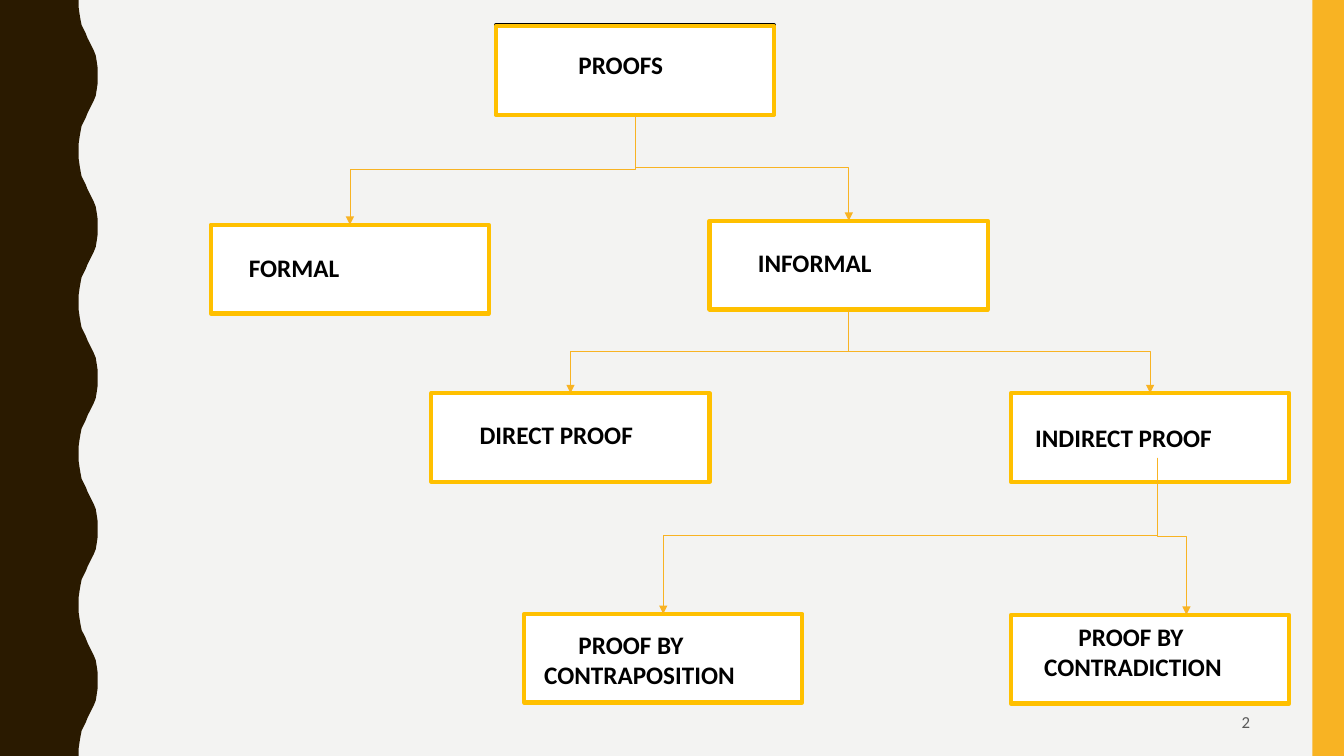
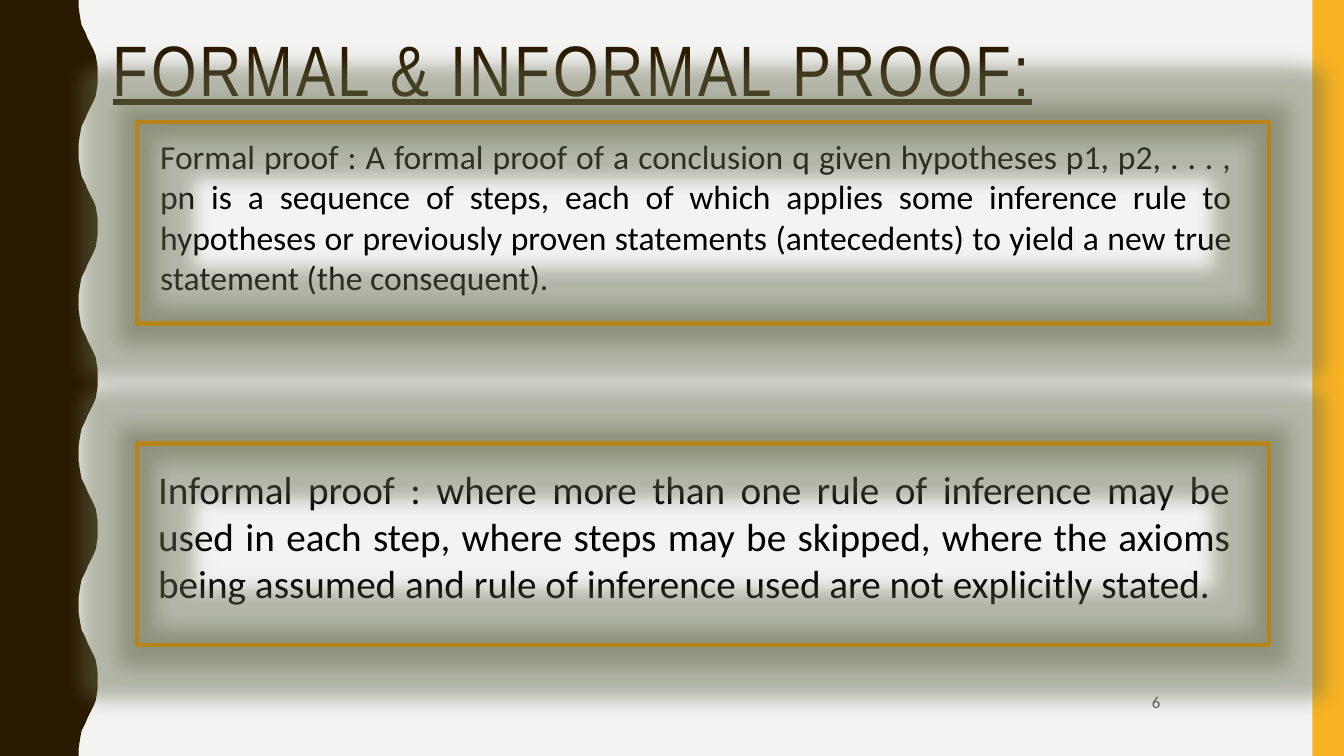
import dataclasses
import typing

import pptx
import pptx.dml.color
import pptx.enum.shapes
import pptx.enum.text
import pptx.oxml
import pptx.oxml.ns
import pptx.util

HUES = {
    "paper": "F3F3F2", "wave": "2A1A00", "band": "F8B323", "white": "FFFFFF",
    "black": "000000", "edge": "FFC000", "frame": "B7841A", "note": "595959",
    "glow": "676E50",
}
WIDE, HIGH = pptx.util.Inches(13.333), pptx.util.Inches(7.5)
FACE, HEAD = "Calibri", "Arial Narrow"
NODE_W, NODE_H = 20.7, 11.73
ALIGN = pptx.enum.text.PP_ALIGN
KIND = pptx.enum.shapes.MSO_SHAPE


@dataclasses.dataclass(frozen=True)
class Area:
    """A place on the slide, in percent of its width and height."""
    left: float
    top: float
    width: float
    height: float

    def box(self) -> tuple[int, int, int, int]:
        return (across(self.left), down(self.top),
                across(self.width), down(self.height))


@dataclasses.dataclass(frozen=True)
class Node:
    text: str
    left: float
    top: float
    label: Area
    indent: float = 0


@dataclasses.dataclass(frozen=True)
class Link:
    """An arrow between nodes; out and aim shift its two ends."""
    start: int
    end: int
    out: tuple[float, float] = (0, 0)
    aim: float = 0


@dataclasses.dataclass(frozen=True)
class Panel:
    text: str
    size: int
    body: Area
    frame: Area


NODES = [
    Node("PROOFS", 36.9, 3.47, Area(42.3, 5.87, 12, 5.33)),
    Node("FORMAL", 15.68, 29.73, Area(17.78, 32.67, 16.95, 5.33)),
    Node("INFORMAL", 52.8, 29.2, Area(55.65, 32, 16.95, 5.33)),
    Node("DIRECT PROOF", 32.1, 52, Area(34.95, 54.8, 16.95, 5.33)),
    Node("INDIRECT PROOF", 75.22, 52, Area(76.28, 55.2, 19.65, 5.33)),
    Node("PROOF BY CONTRAPOSITION", 39, 81.2,
         Area(39.75, 82.53, 24.38, 9.47), 2.55),
    Node("PROOF BY CONTRADICTION", 75.22, 81.33,
         Area(76.95, 81.47, 22.65, 9.47), 2.55),
]
LINKS = [
    Link(0, 1), Link(0, 2), Link(2, 3), Link(2, 4),
    Link(4, 5, (0.53, -3.2)), Link(4, 6, (0.53, -3.2), 2.71),
]
PANELS = [
    Panel("Formal proof : A formal proof of a conclusion q given hypotheses "
          "p1, p2, . . . , pn is a sequence of steps, each of which applies "
          "some inference rule to hypotheses or previously proven statements "
          "(antecedents) to yield a new true statement (the consequent).",
          24, Area(11.17, 17.33, 81.23, 22.93),
          Area(10.2, 16.13, 84.23, 26.67)),
    Panel("Informal proof : where more than one rule of inference may be used "
          "in each step, where steps may be skipped, where the axioms being "
          "assumed and rule of inference used are not explicitly stated.",
          28, Area(11.03, 60.93, 81.23, 20.13),
          Area(10.2, 58.67, 84.23, 26.67)),
]


def across(share: float) -> int:
    return round(WIDE * share / 100)


def down(share: float) -> int:
    return round(HIGH * share / 100)


def hue(name: str) -> pptx.dml.color.RGBColor:
    return pptx.dml.color.RGBColor.from_string(HUES[name])


def parse_xml(tag: str, inner: str = "", **attrs: typing.Any) -> typing.Any:
    """Make one DrawingML element."""
    names = "".join(f' {key}="{value}"' for key, value in attrs.items())
    space = pptx.oxml.ns.nsdecls("a")
    return pptx.oxml.parse_xml(f"<a:{tag} {space}{names}>{inner}</a:{tag}>")


def paint(shape: typing.Any, fill: str | None, line: str | None = None) -> None:
    shape.shadow.inherit = False
    if fill:
        shape.fill.solid()
        shape.fill.fore_color.rgb = hue(fill)
    else:
        shape.fill.background()
    if line:
        shape.line.color.rgb = hue(line)
        shape.line.width = pptx.util.Pt(3)
    else:
        shape.line.fill.background()


def block(slide: typing.Any, area: Area, fill: str | None,
          line: str | None = None) -> typing.Any:
    shape = slide.shapes.add_shape(KIND.RECTANGLE, *area.box())
    paint(shape, fill, line)
    return shape


def write(slide: typing.Any, area: Area, text: str, size: float,
          tone: str = "black", face: str = FACE, bold: bool = False,
          align: typing.Any = ALIGN.LEFT) -> typing.Any:
    """Add wrapped text and return its paragraph."""
    frame = slide.shapes.add_textbox(*area.box()).text_frame
    frame.word_wrap = True
    para = frame.paragraphs[0]
    para.text = text
    para.alignment = align
    font = para.font
    font.name, font.size, font.bold = face, pptx.util.Pt(size), bold
    font.color.rgb = hue(tone)
    return para


def wave(slide: typing.Any) -> None:
    """Draw the left band, whose edge swings out and back five times."""
    swing = [(0.78, 0), (0.78, 0.07), (0.79, 0.14), (0.8, 0.2), (0.81, 0.25),
             (0.83, 0.29), (0.85, 0.33), (0.87, 0.38), (0.89, 0.42),
             (0.91, 0.46), (0.93, 0.5), (0.95, 0.55), (0.96, 0.61),
             (0.97, 0.68), (0.97, 0.75)]
    cycle = swing + [(x, 1.5 - y) for x, y in reversed(swing[:-1])]
    edge = [(x, y + 1.5 * turn) for turn in range(5) for x, y in cycle]
    path = slide.shapes.build_freeform(0, 0, scale=pptx.util.Inches(1) / 100)
    path.add_line_segments([(x * 100, y * 100) for x, y in edge] + [(0, 750)])
    paint(path.convert_to_shape(), "wave")


def page(deck: typing.Any, number: int, left: float, top: float) -> typing.Any:
    """Add a slide with both side bands and its number."""
    slide = deck.slides.add_slide(deck.slide_layouts[6])
    for holder in list(slide.placeholders):
        holder.element.getparent().remove(holder.element)
    wave(slide)
    block(slide, Area(97.65, 0, 2.35, 100), "band")
    para = write(slide, Area(left, top, 23.1, 5.07), str(number), 12,
                 "note", align=ALIGN.RIGHT)
    para._parent.vertical_anchor = pptx.enum.text.MSO_ANCHOR.MIDDLE
    return slide


def join(slide: typing.Any, link: Link) -> None:
    """Draw an elbow arrow that leaves downwards, by turning a level one."""
    start, end = NODES[link.start], NODES[link.end]
    x1 = across(start.left + NODE_W / 2 + link.out[0])
    y1 = down(start.top + NODE_H + link.out[1])
    x2, y2 = across(end.left + NODE_W / 2 + link.aim), down(end.top)
    midx, midy = (x1 + x2) // 2, (y1 + y2) // 2
    long, wide = (y2 - y1) // 2, abs(x2 - x1) // 2
    arrow = slide.shapes.add_connector(
        pptx.enum.shapes.MSO_CONNECTOR.ELBOW,
        midx - long, midy - wide, midx + long, midy + wide)
    arrow.line.color.rgb = hue("band")
    arrow.line.width = pptx.util.Pt(0.5)
    props = arrow.element.spPr
    turn = props.find(pptx.oxml.ns.qn("a:xfrm"))
    turn.set("rot", str((90 if x2 < x1 else 270) * 60000))
    if x2 > x1:
        turn.set("flipH", "1")
    props.find(pptx.oxml.ns.qn("a:ln")).append(
        parse_xml("tailEnd", type="triangle"))
    props.append(parse_xml("effectLst"))


def shine(shape: typing.Any) -> None:
    """Give a frame a wide glow and a narrow soft shadow."""
    tint = f'<a:srgbClr val="{HUES["glow"]}"><a:alpha val="40000"/></a:srgbClr>'
    effects = shape.element.spPr.find(pptx.oxml.ns.qn("a:effectLst"))
    effects.append(parse_xml("glow", tint, rad=pptx.util.Inches(0.35)))
    effects.append(parse_xml("outerShdw", tint, algn="ctr", rotWithShape=0,
                             blurRad=pptx.util.Inches(0.15)))


def tree(deck: typing.Any) -> None:
    slide = page(deck, 2, 70.65, 92.93)
    block(slide, Area(36.9, 3.33, NODE_W, NODE_H), "white", "black")
    for node in NODES:
        block(slide, Area(node.left, node.top, NODE_W, NODE_H), "white", "edge")
        para = write(slide, node.label, node.text, 18, bold=True)
        if node.indent:
            props = para._p.get_or_add_pPr()
            props.set("marL", "0")
            props.set("indent", str(across(node.indent)))
    for link in LINKS:
        join(slide, link)


def terms(deck: typing.Any) -> None:
    slide = page(deck, 6, 63.98, 90.27)
    title = write(slide, Area(7.65, 4, 83.48, 13.33),
                  "FORMAL & INFORMAL PROOF:", 51, "wave", HEAD)
    title.line_spacing = 0.9
    run = title.runs[0]
    run.font.underline = True
    run._r.get_or_add_rPr().set("spc", "200")
    for panel in PANELS:
        write(slide, panel.body, panel.text, panel.size, align=ALIGN.JUSTIFY)
        shine(block(slide, panel.frame, None, "frame"))


def main() -> None:
    deck = pptx.Presentation()
    deck.slide_width, deck.slide_height = WIDE, HIGH
    back = deck.slide_master.background.fill
    back.solid()
    back.fore_color.rgb = hue("paper")
    tree(deck)
    terms(deck)
    deck.save("out.pptx")


if __name__ == "__main__":
    main()
